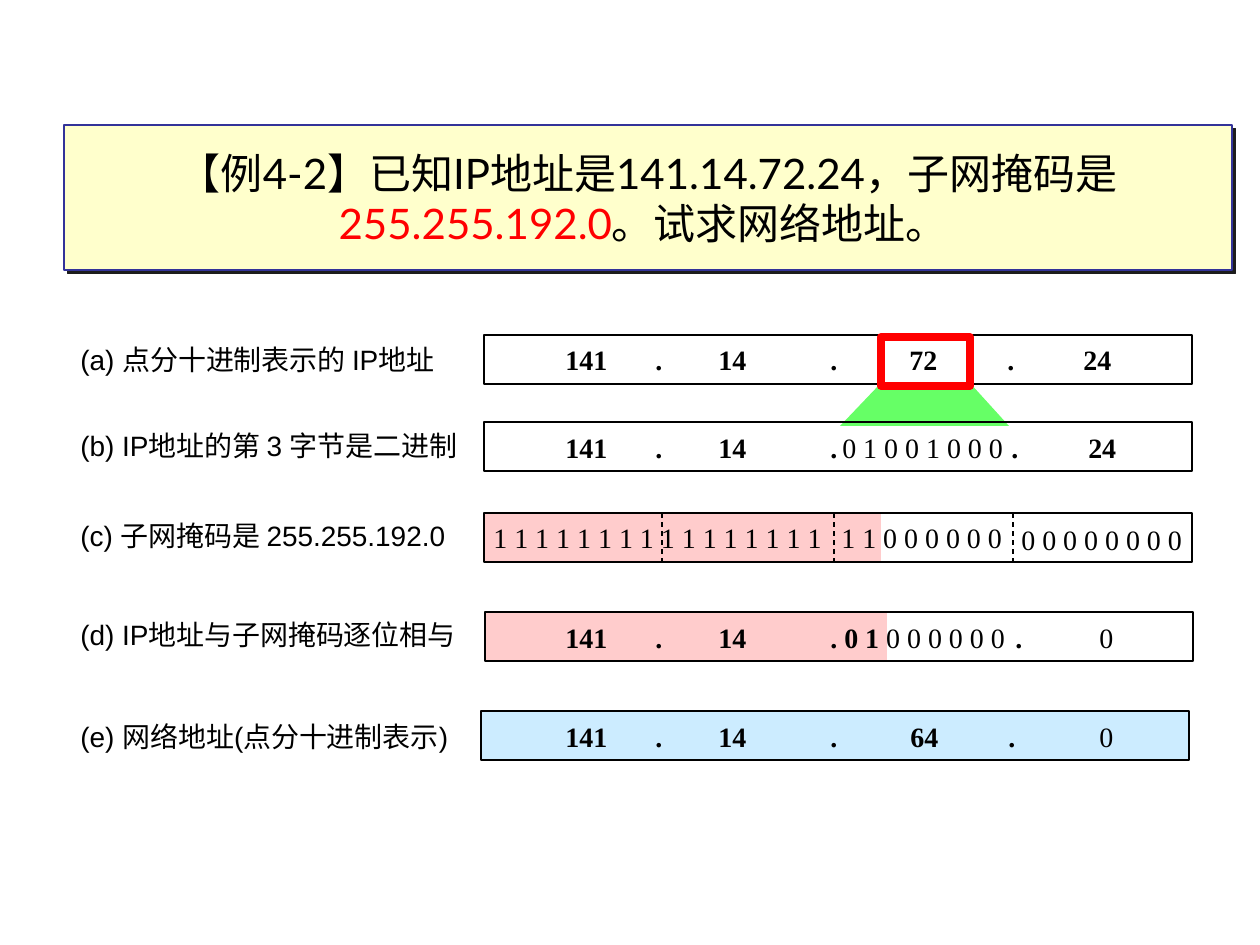
from lxml import etree
from pptx import Presentation
from pptx.dml.color import RGBColor
from pptx.enum.dml import MSO_LINE
from pptx.enum.shapes import MSO_CONNECTOR, MSO_SHAPE
from pptx.enum.text import MSO_ANCHOR, MSO_AUTO_SIZE, PP_ALIGN
from pptx.oxml import parse_xml
from pptx.oxml.ns import nsdecls, qn
from pptx.util import Inches, Pt

PX = 7257
RECT = MSO_SHAPE.RECTANGLE
STRAIGHT = MSO_CONNECTOR.STRAIGHT
DASH = MSO_LINE.DASH
MIDDLE = MSO_ANCHOR.MIDDLE
NO_FIT = MSO_AUTO_SIZE.NONE
LEFT, CENTER = PP_ALIGN.LEFT, PP_ALIGN.CENTER
BLACK = RGBColor(0x00, 0x00, 0x00)
RED = RGBColor(0xFF, 0x00, 0x00)
NAVY = RGBColor(0x33, 0x33, 0x99)
CREAM = RGBColor(0xFF, 0xFF, 0xCC)
PINK = RGBColor(0xFF, 0xCC, 0xCC)
SKY = RGBColor(0xCC, 0xEC, 0xFF)
GREEN = RGBColor(0x66, 0xFF, 0x66)
SERIF = "Times New Roman"

prs = Presentation()
prs.slide_width = Inches(10)
prs.slide_height = Inches(7.5)
slide = prs.slides.add_slide(prs.slide_layouts[5])
shapes = slide.shapes


def write(frame, *runs, size=16, font=SERIF, align=LEFT, tabs=()):
    frame.word_wrap = True
    frame.auto_size = NO_FIT
    paragraph = frame.paragraphs[0]
    paragraph.alignment = align
    if tabs:
        stops = etree.SubElement(paragraph._p.get_or_add_pPr(), qn("a:tabLst"))
        for stop in tabs:
            etree.SubElement(stops, qn("a:tab"), pos=str(stop * PX), algn="l")
    for text, bold, color in runs:
        run = paragraph.add_run()
        run.text = text
        run.font.name = font
        run.font.size = Pt(size)
        run.font.bold = bold
        run.font.color.rgb = color


def add_bar(left, top, width, height, fill=None, line=None, weight=0.75):
    bar = shapes.add_shape(RECT, left * PX, top * PX, width * PX, height * PX)
    bar.shadow.inherit = False
    if fill is None:
        bar.fill.background()
    else:
        bar.fill.solid()
        bar.fill.fore_color.rgb = fill
    if line is None:
        bar.line.fill.background()
    else:
        bar.line.color.rgb = line
        bar.line.width = Pt(weight)


question = shapes.title
question.left, question.top = 64 * PX, 125 * PX
question.width, question.height = 1168 * PX, 145 * PX
question.fill.solid()
question.fill.fore_color.rgb = CREAM
question.line.color.rgb = NAVY
question.line.width = Pt(0.75)
question._element.spPr.append(parse_xml(
    f'<a:effectLst {nsdecls("a")}><a:outerShdw dist="35560" dir="2700000" algn="ctr" rotWithShape="0">'
    '<a:srgbClr val="1C1C1C"/></a:outerShdw></a:effectLst>'))
question.text_frame.vertical_anchor = MIDDLE
write(question.text_frame,
      ("【例4-2】已知IP地址是141.14.72.24，子网掩码是 ", False, BLACK),
      ("255.255.192.0", False, RED),
      ("。试求网络地址。 ", False, BLACK),
      size=24, font="Lato", align=CENTER)

outline = shapes.build_freeform(881, 383, scale=PX)
outline.add_line_segments([(970, 383), (1009, 426), (840, 426)], close=True)
expansion = outline.convert_to_shape()
expansion.shadow.inherit = False
expansion.fill.solid()
expansion.fill.fore_color.rgb = GREEN
expansion.line.fill.background()

add_bar(485, 514, 396, 48, fill=PINK)
add_bar(485, 612, 402, 48, fill=PINK)

for left, top, fill in [(484, 335, None), (484, 422, None), (484, 513, None),
                        (485, 612, None), (481, 711, SKY)]:
    add_bar(left, top, 708, 49, fill=fill, line=BLACK)

for x in (662, 834, 1013):
    divider = shapes.add_connector(STRAIGHT, x * PX, 513 * PX, x * PX, 562 * PX)
    divider.line.color.rgb = BLACK
    divider.line.width = Pt(0.75)
    divider.line.dash_style = DASH
    etree.SubElement(divider._element.spPr, qn("a:effectLst"))

labels = [
    (336, 386, "(a) 点分十进制表示的 IP地址"),
    (422, 408, "(b) IP地址的第 3 字节是二进制"),
    (512, 390, "(c) 子网掩码是 255.255.192.0"),
    (611, 406, "(d) IP地址与子网掩码逐位相与"),
    (713, 398, "(e) 网络地址(点分十进制表示)"),
]
for top, width, label in labels:
    box = shapes.add_textbox(68 * PX, top * PX, width * PX, 47 * PX)
    write(box.text_frame, (label, False, BLACK), font="Arial")

prefix = "141\t.\t14\t."
prefix_tabs = (90, 153, 265)
octets = [
    (553, 336, 300, prefix_tabs, [(prefix, True)]),
    (897, 336, 236, (98, 174), [("72\t.\t24", True)]),
    (553, 424, 300, prefix_tabs, [(prefix, True)]),
    (830, 424, 200, (), [("0 1 0 0 1 0 0 0", False)]),
    (999, 424, 140, (77,), [(".\t24", True)]),
    (481, 514, 560, (348,), [(" ".join("1" * 16) + "\t1 1 0 0 0 0 0 0", False)]),
    (1009, 516, 200, (), [("0 0 0 0 0 0 0 0", False)]),
    (553, 614, 490, prefix_tabs, [(prefix + " 0 1 ", True), ("0 0 0 0 0 0", False)]),
    (1003, 614, 140, (84,), [(".\t", True), ("0", False)]),
    (553, 713, 300, prefix_tabs, [(prefix, True)]),
    (898, 713, 240, (98, 189), [("64\t.\t", True), ("0", False)]),
]
for left, top, width, tabs, parts in octets:
    box = shapes.add_textbox(left * PX, top * PX, width * PX, 47 * PX)
    write(box.text_frame, *[(text, bold, BLACK) for text, bold in parts], tabs=tabs)

add_bar(881, 337, 89, 49, line=RED, weight=4.5)

prs.save("out.pptx")
